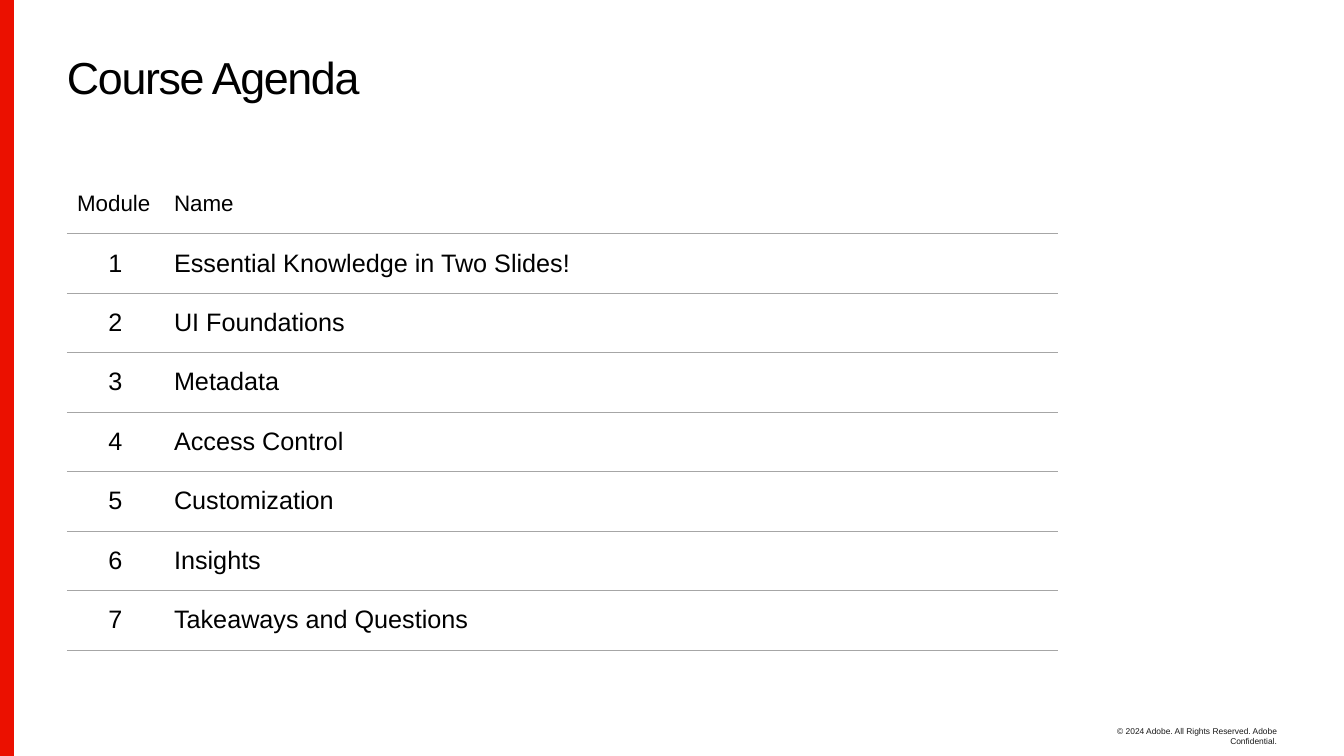
import lxml.etree
import pptx
import pptx.dml.color
import pptx.enum.shapes
import pptx.enum.text
import pptx.oxml.ns
import pptx.util

EMU_PER_PX = 914400 / 100.8
NO_GRID_STYLE = "{2D5ABB26-0587-4C30-8999-92F81FD0307C}"
ALIGN = pptx.enum.text.PP_ALIGN
MIDDLE = pptx.enum.text.MSO_ANCHOR.MIDDLE
qn = pptx.oxml.ns.qn

MODULES = [
    "Essential Knowledge in Two Slides!",
    "UI Foundations",
    "Metadata",
    "Access Control",
    "Customization",
    "Insights",
    "Takeaways and Questions",
]


def px(length):
    return pptx.util.Emu(round(length * EMU_PER_PX))


def color(value):
    return pptx.dml.color.RGBColor.from_string(value)


class AgendaSlide:
    font_name = "Arial"
    ink = "000000"
    rule = "A6A6A6"

    def __init__(self, presentation):
        self.slide = presentation.slides.add_slide(presentation.slide_layouts[5])

    def format_text(self, paragraph, size, ink=None, align=ALIGN.LEFT):
        paragraph.alignment = align
        for run in paragraph.runs:
            run.font.name = self.font_name
            run.font.size = pptx.util.Pt(size)
            run.font.color.rgb = color(ink or self.ink)

    def clear_margins(self, text_frame):
        text_frame.margin_left = text_frame.margin_right = 0
        text_frame.margin_top = text_frame.margin_bottom = 0
        text_frame.word_wrap = True
        text_frame.auto_size = pptx.enum.text.MSO_AUTO_SIZE.NONE

    def title(self, text, left, top, width, height):
        title = self.slide.shapes.title
        title.left, title.top = px(left), px(top)
        title.width, title.height = px(width), px(height)
        text_frame = title.text_frame
        text_frame.text = text
        self.clear_margins(text_frame)
        text_frame.vertical_anchor = MIDDLE
        paragraph = text_frame.paragraphs[0]
        paragraph.line_spacing = 0.8
        self.format_text(paragraph, 32)
        for properties in title.element.iter(qn("a:rPr")):
            properties.set("spc", "-100")

    def bar(self, fill, left, top, width, height):
        bar = self.slide.shapes.add_shape(
            pptx.enum.shapes.MSO_SHAPE.RECTANGLE,
            px(left), px(top), px(width), px(height))
        bar.shadow.inherit = False
        bar.fill.solid()
        bar.fill.fore_color.rgb = color(fill)
        bar.line.fill.background()

    def footer(self, text, left, top, width, height):
        box = self.slide.shapes.add_textbox(px(left), px(top), px(width), px(height))
        box.text_frame.text = text
        self.clear_margins(box.text_frame)
        self.format_text(box.text_frame.paragraphs[0], 6, "191919", ALIGN.RIGHT)

    def table(self, rows, column_widths, left, top, height):
        frame = self.slide.shapes.add_table(
            len(rows), len(column_widths),
            px(left), px(top), px(sum(column_widths)), px(height))
        table = frame.table
        table.horz_banding = False
        frame.element.find(".//" + qn("a:tableStyleId")).text = NO_GRID_STYLE
        for column, width in zip(table.columns, column_widths):
            column.width = px(width)
        for row_index, texts in enumerate(rows):
            table.rows[row_index].height = px(height / len(rows))
            for column_index, text in enumerate(texts):
                cell = table.cell(row_index, column_index)
                cell.text_frame.text = text
                cell.vertical_anchor = MIDDLE
                cell.fill.background()
                is_number = row_index > 0 and column_index == 0
                self.format_text(
                    cell.text_frame.paragraphs[0], 18 if row_index else 16,
                    align=ALIGN.CENTER if is_number else ALIGN.LEFT)
        # Rule below every row
        for properties in frame.element.iter(qn("a:tcPr")):
            border = lxml.etree.Element(qn("a:lnB"), w=str(pptx.util.Pt(0.5)))
            fill = lxml.etree.SubElement(border, qn("a:solidFill"))
            lxml.etree.SubElement(fill, qn("a:srgbClr"), val=self.rule)
            properties.insert(0, border)


def main():
    presentation = pptx.Presentation()
    presentation.slide_width = px(1344)
    presentation.slide_height = px(756)
    agenda = AgendaSlide(presentation)

    # Page frame
    agenda.footer("© 2024 Adobe. All Rights Reserved. Adobe Confidential.",
                  1089, 726, 188, 10)
    agenda.bar("EB1000", 0, 0, 14, 756)

    # Heading and module list
    agenda.title("Course Agenda", 67, 29, 1210, 105)
    rows = [("Module", "Name", "")]
    rows += [(str(number), name, "") for number, name in enumerate(MODULES, 1)]
    agenda.table(rows, (97, 783, 111), 67, 174, 476)

    presentation.save("out.pptx")


if __name__ == "__main__":
    main()
